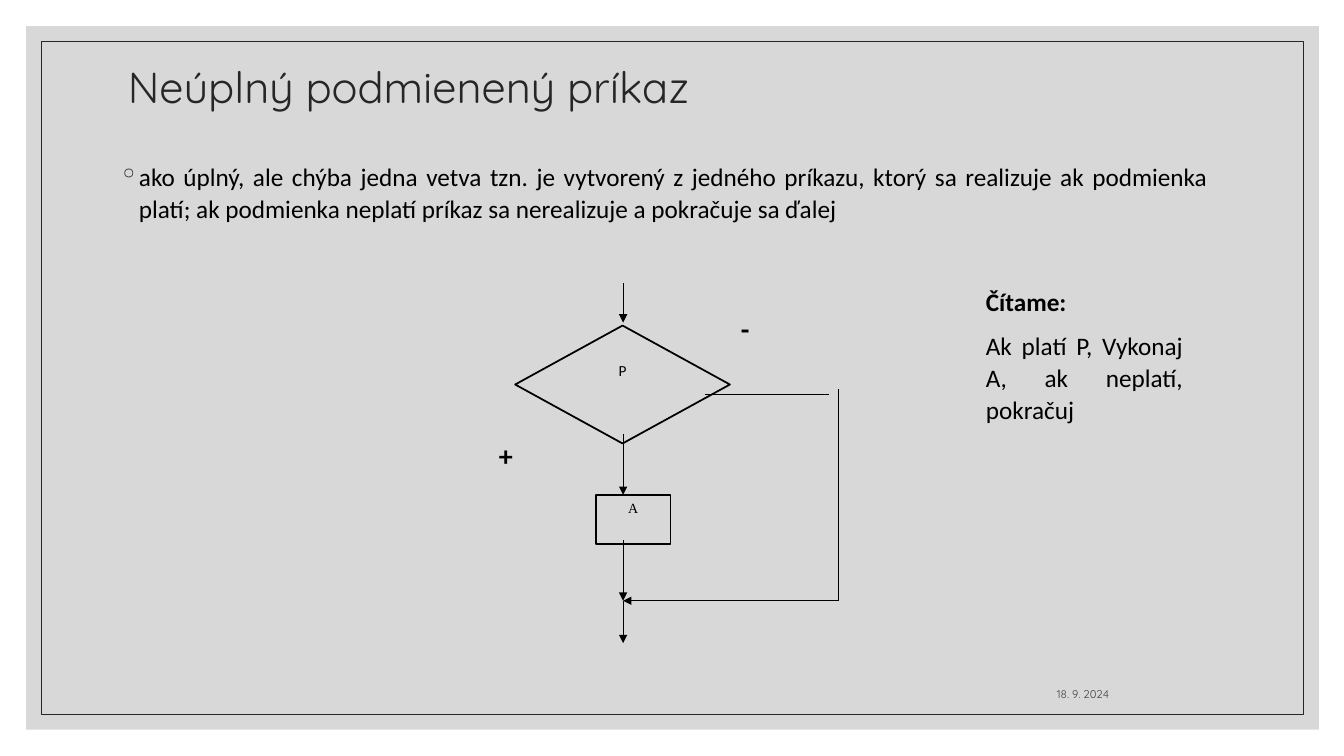
from pptx import Presentation
from pptx.dml.color import RGBColor
from pptx.enum import shapes, text
from pptx.oxml.ns import qn
from pptx.util import Inches, Pt
from lxml import etree

BLACK = RGBColor(0, 0, 0)
CHARCOAL = RGBColor(0x26, 0x26, 0x26)
DATE_GREY = RGBColor(0x40, 0x40, 0x40)
PANEL_GREY = RGBColor(0xBF, 0xBF, 0xBF)

LEFT, CENTER = text.PP_ALIGN.LEFT, text.PP_ALIGN.CENTER
RIGHT, JUSTIFY = text.PP_ALIGN.RIGHT, text.PP_ALIGN.JUSTIFY
TOP, MIDDLE, BOTTOM = (text.MSO_ANCHOR.TOP, text.MSO_ANCHOR.MIDDLE,
                       text.MSO_ANCHOR.BOTTOM)

FLOW_X = 6.18
BYPASS_X = 8.32
JOIN_Y = 5.96


def write(shape, *lines, size, font="Calibri", color=BLACK, bold=False,
          align=LEFT, anchor=TOP, spacing=1.07, before=0, after=8):
    """Fill the shape with one paragraph per line, all in the same format."""
    frame = shape.text_frame
    frame.word_wrap = True
    frame.vertical_anchor = anchor
    for index, line in enumerate(lines):
        paragraph = frame.add_paragraph() if index else frame.paragraphs[0]
        paragraph.alignment = align
        paragraph.line_spacing = spacing
        paragraph.space_before = Pt(before)
        paragraph.space_after = Pt(after)
        run = paragraph.add_run()
        run.text = line
        run.font.size = Pt(size)
        run.font.name = font
        run.font.bold = bold
        run.font.color.rgb = color
    return frame.paragraphs


def add_text(slide, box, *lines, **style):
    textbox = slide.shapes.add_textbox(*map(Inches, box))
    return write(textbox, *lines, **style)


def add_outline(slide, kind, box, color, width):
    shape = slide.shapes.add_shape(kind, *map(Inches, box))
    shape.shadow.inherit = False
    shape.fill.background()
    shape.line.color.rgb = color
    shape.line.width = Pt(width)
    return shape


def add_panel(slide, box, color, opacity):
    panel = slide.shapes.add_shape(shapes.MSO_SHAPE.RECTANGLE,
                                   *map(Inches, box))
    panel.shadow.inherit = False
    panel.line.fill.background()
    panel.fill.solid()
    panel.fill.fore_color.rgb = color
    shade = panel.fill._xPr.find(".//" + qn("a:srgbClr"))
    etree.SubElement(shade, qn("a:alpha"), val=str(opacity * 1000))


def add_flow_line(slide, start, end, arrow=True):
    line = slide.shapes.add_connector(shapes.MSO_CONNECTOR.STRAIGHT,
                                      *map(Inches, start + end))
    line.line.color.rgb = BLACK
    line.line.width = Pt(0.75)
    if arrow:
        etree.SubElement(line.line._get_or_add_ln(), qn("a:tailEnd"),
                         type="triangle")
    etree.SubElement(line._element.spPr, qn("a:effectLst"))


def add_bullet(paragraph, character, color, indent):
    properties = paragraph._p.get_or_add_pPr()
    properties.set("marL", str(Inches(indent)))
    properties.set("indent", str(Inches(-indent)))
    bullet_color = etree.SubElement(properties, qn("a:buClr"))
    etree.SubElement(bullet_color, qn("a:srgbClr"), val=str(color))
    etree.SubElement(properties, qn("a:buChar"), char=character)


def add_flowchart(slide):
    add_text(slide, (4.85, 4.28, 1.07, 0.84), "+", size=20, bold=True)
    add_text(slide, (7.25, 3.02, 1.07, 0.84), "-", size=20, bold=True)

    condition = add_outline(slide, shapes.MSO_SHAPE.FLOWCHART_DECISION,
                            (5.11, 3.23, 2.13, 1.17), BLACK, 1.25)
    write(condition, "P", size=11, align=CENTER)
    command = add_outline(slide, shapes.MSO_SHAPE.FLOWCHART_PROCESS,
                          (5.91, 4.91, 0.74, 0.49), BLACK, 1.25)
    write(command, "A", size=10, font="Times New Roman", align=CENTER,
          spacing=1.0, after=0)

    for top, bottom in ((2.81, 3.2), (4.31, 4.91), (5.36, JOIN_Y),
                        (JOIN_Y, 6.38)):
        add_flow_line(slide, (FLOW_X, top), (FLOW_X, bottom))
    add_flow_line(slide, (8.22, 3.91), (6.99, 3.91), arrow=False)
    add_flow_line(slide, (BYPASS_X, 3.86), (BYPASS_X, JOIN_Y), arrow=False)
    add_flow_line(slide, (BYPASS_X, JOIN_Y), (FLOW_X, JOIN_Y))


def main():
    deck = Presentation()
    deck.slide_width, deck.slide_height = Inches(13.33), Inches(7.5)
    slide = deck.slides.add_slide(deck.slide_layouts[6])

    add_panel(slide, (0.26, 0.26, 12.82, 6.98), PANEL_GREY, opacity=60)
    add_outline(slide, shapes.MSO_SHAPE.RECTANGLE,
                (0.41, 0.41, 12.52, 6.68), CHARCOAL, 0.5)
    add_text(slide, (1.17, 0.5, 11, 0.78), "Neúplný podmienený príkaz",
             size=31, font="Quicksand", color=CHARCOAL, anchor=MIDDLE,
             spacing=0.9, after=0)
    definition, = add_text(
        slide, (1.08, 1.53, 11, 4.21),
        "ako úplný, ale chýba jedna vetva tzn. je vytvorený z jedného "
        "príkazu, ktorý sa realizuje ak podmienka platí; ak podmienka "
        "neplatí príkaz sa nerealizuje a pokračuje sa ďalej",
        size=18, align=JUSTIFY, before=9)
    add_bullet(definition, "◦", CHARCOAL, indent=0.2)
    add_text(slide, (7.94, 6.6, 3.16, 0.4), "18. 9. 2024", size=8,
             font="Quicksand", color=DATE_GREY, align=RIGHT, anchor=BOTTOM,
             spacing=1.0, after=0)

    add_flowchart(slide)

    heading, _ = add_text(slide, (9.68, 2.77, 2.15, 1.92), "Čítame:",
                          "Ak platí P, Vykonaj A, ak neplatí, pokračuj",
                          size=18, align=JUSTIFY)
    heading.runs[0].font.bold = True

    deck.save("out.pptx")


if __name__ == "__main__":
    main()
